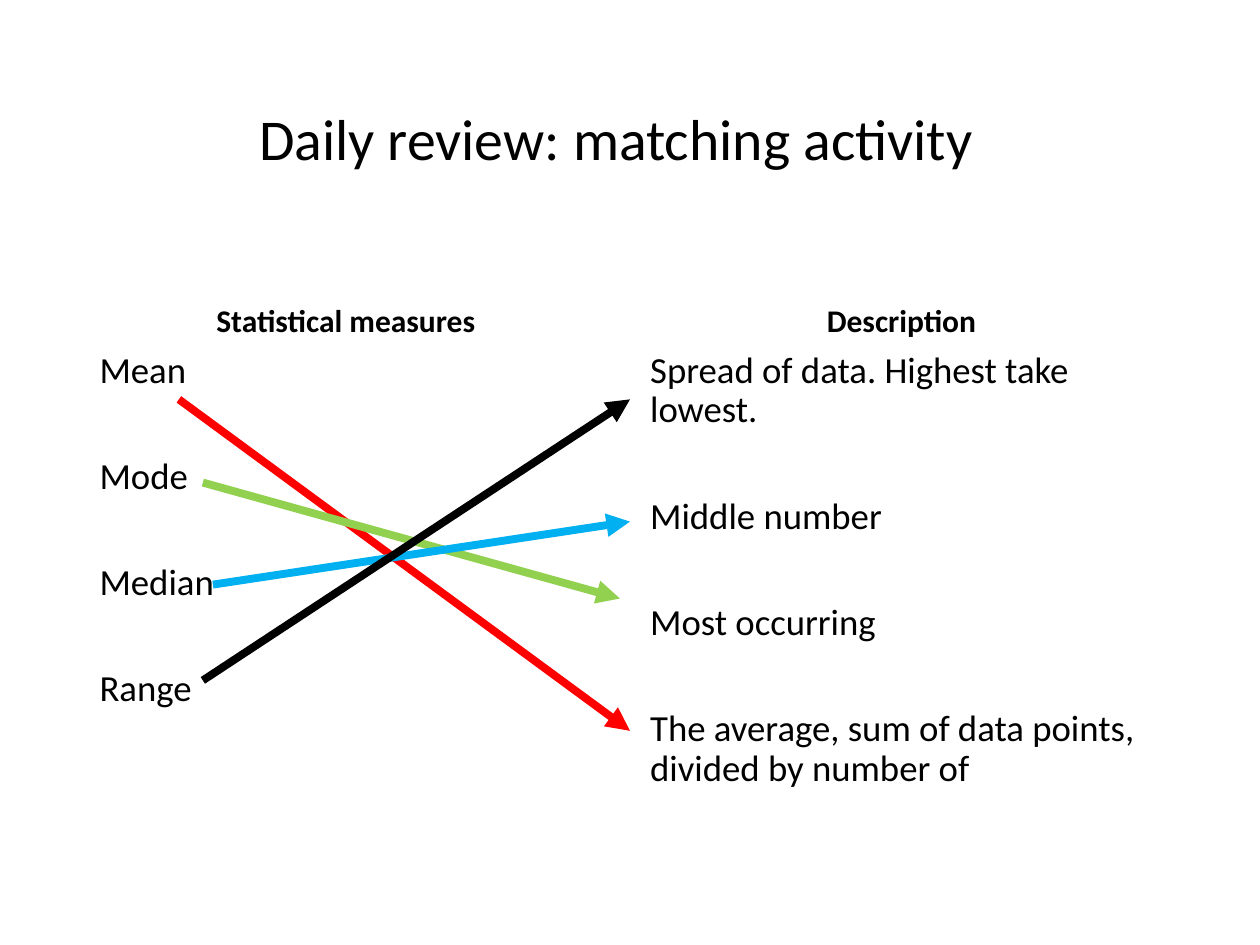
from lxml import etree
from pptx import Presentation
from pptx import util as u
from pptx.dml.color import RGBColor
from pptx.enum import shapes, text
from pptx.oxml.ns import qn

BLACK = RGBColor(0x00, 0x00, 0x00)
WHITE = RGBColor(0xFF, 0xFF, 0xFF)
RED = RGBColor(0xFF, 0x00, 0x00)
GREEN = RGBColor(0x92, 0xD0, 0x50)
BLUE = RGBColor(0x00, 0xB0, 0xF0)

LEFT, TOP, WIDTH = 0.69, 0.4, 8.62
HEADING_TOP, LIST_TOP = 1.84, 2.74
HEADING_HEIGHT, LIST_HEIGHT = 0.9, 4.03

# Heading, trailing inset, left edge, width and list entries of each column
COLUMNS = [
    ("Statistical measures", 0.22, LEFT, 4.23,
     ["Mean", "Mode", "Median", "Range"]),
    ("Description", 0.16, 5.06, 4.25,
     ["Spread of data. Highest take lowest.", "Middle number",
      "Most occurring",
      "The average, sum of data points, divided by number of"]),
]

# Start, end and colour of each match
MATCHES = [
    ((1.42, 3.17), (5, 5.8), RED),
    ((1.61, 3.83), (4.92, 4.75), GREEN),
    ((1.69, 4.64), (5, 4.14), BLUE),
    ((1.61, 5.4), (5, 3.17), BLACK),
]


def write(frame, lines, size, bold=False, align=text.PP_ALIGN.LEFT, gap=0):
    """Fill a text frame with unbulleted paragraphs, gap points apart."""
    for index, line in enumerate(lines):
        para = frame.paragraphs[0] if index == 0 else frame.add_paragraph()
        para.alignment = align
        para.line_spacing = 0.9
        para.space_before = u.Pt(gap if index else 0)
        properties = para._p.get_or_add_pPr()
        properties.set("marL", "0")
        properties.set("indent", "0")
        etree.SubElement(properties, qn("a:buNone"))
        span = para.add_run()
        span.text = line
        span.font.name = "Calibri"
        span.font.size = u.Pt(size)
        span.font.bold = bold
        span.font.color.rgb = BLACK


class MatchingSlide:
    line_width = u.Pt(4.5)

    def __init__(self, deck):
        layout = deck.slide_layouts.get_by_name("Comparison")
        self.page = deck.slides.add_slide(layout)
        self.page.background.fill.solid()
        self.page.background.fill.fore_color.rgb = WHITE

    def place(self, index, left, top, width, height, anchor, inset=0.1):
        box = self.page.placeholders[index]
        box.left, box.top = u.Inches(left), u.Inches(top)
        box.width, box.height = u.Inches(width), u.Inches(height)
        frame = box.text_frame
        frame.word_wrap = True
        frame.auto_size = text.MSO_AUTO_SIZE.NONE
        frame.vertical_anchor = anchor
        frame.margin_right = u.Inches(inset)
        return frame

    def title(self, words):
        frame = self.place(0, LEFT, TOP, WIDTH, 1.45,
                           text.MSO_ANCHOR.MIDDLE, inset=0.32)
        write(frame, [words], 33, align=text.PP_ALIGN.CENTER)

    def column(self, index, heading, inset, left, width, entries):
        frame = self.place(index, left, HEADING_TOP, width, HEADING_HEIGHT,
                           text.MSO_ANCHOR.BOTTOM, inset)
        write(frame, [heading], 18, bold=True, align=text.PP_ALIGN.CENTER)
        frame = self.place(index + 1, left, LIST_TOP, width, LIST_HEIGHT,
                           text.MSO_ANCHOR.TOP)
        write(frame, entries, 21, gap=38)

    def arrow(self, start, end, color):
        points = [u.Inches(value) for value in (*start, *end)]
        arrow = self.page.shapes.add_connector(
            shapes.MSO_CONNECTOR.STRAIGHT, *points)
        arrow.line.color.rgb = color
        arrow.line.width = self.line_width
        etree.SubElement(arrow.line._get_or_add_ln(), qn("a:tailEnd"),
                         type="triangle")
        etree.SubElement(arrow._element.spPr, qn("a:effectLst"))


def main():
    deck = Presentation()
    deck.slide_width, deck.slide_height = u.Inches(10), u.Inches(7.5)
    slide = MatchingSlide(deck)

    # Title and the two columns
    slide.title("Daily review: matching activity")
    for number, column in enumerate(COLUMNS):
        slide.column(1 + 2 * number, *column)

    # Arrows from each measure to its description
    for match in MATCHES:
        slide.arrow(*match)

    deck.save("out.pptx")


if __name__ == "__main__":
    main()
